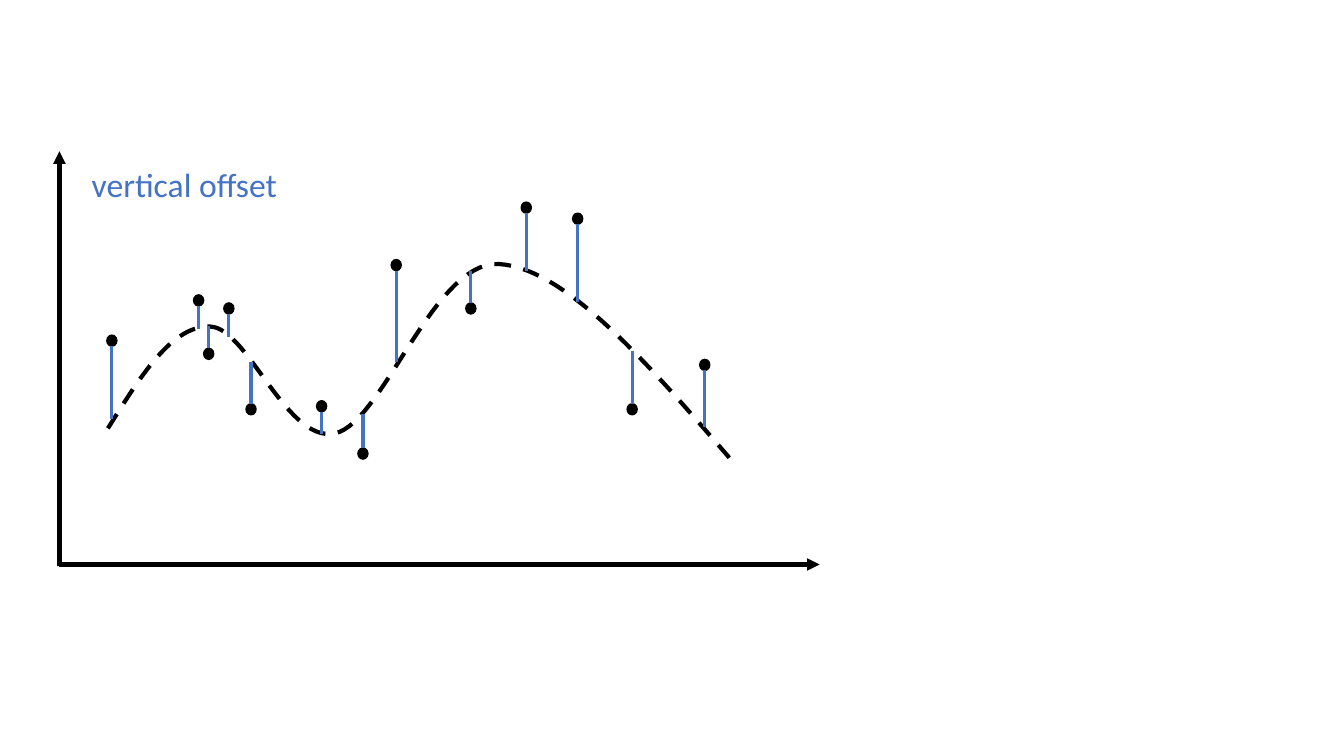
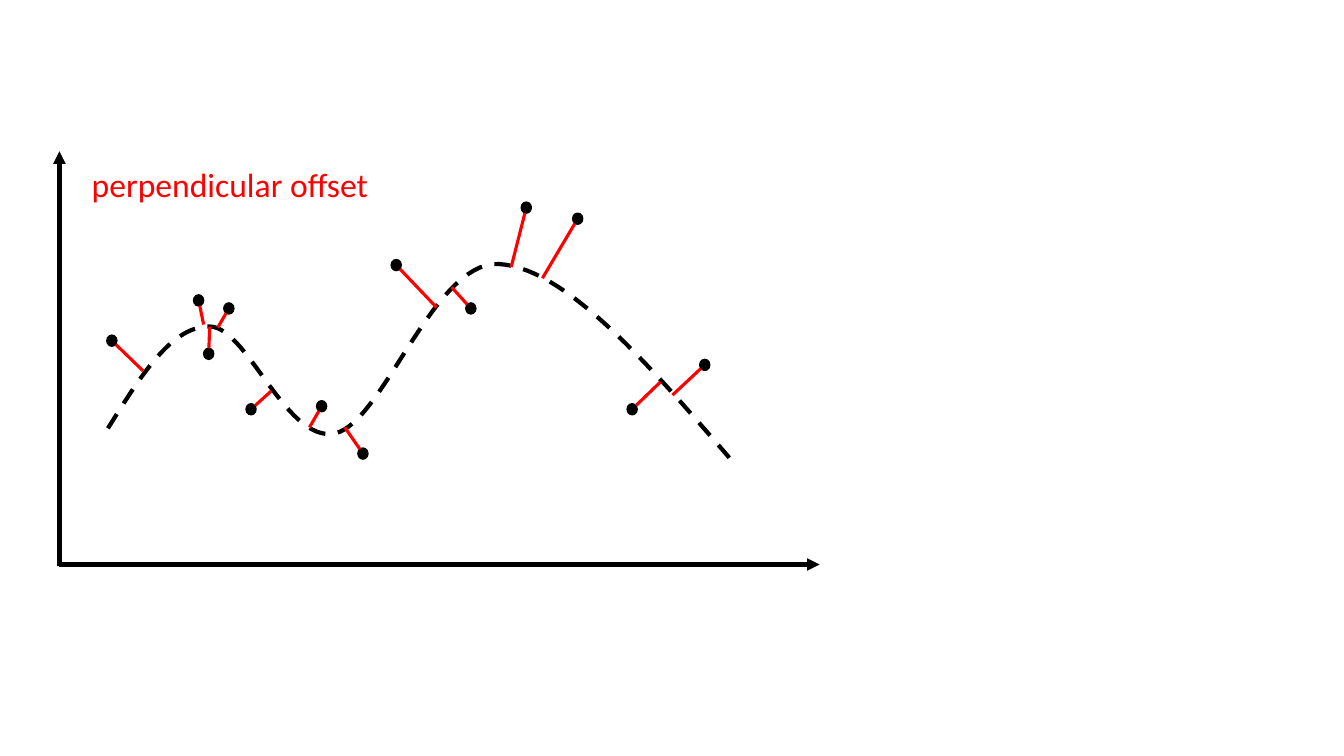
import dataclasses
import math
import typing

import lxml.etree
import pptx
import pptx.dml.color
import pptx.enum.dml
import pptx.enum.shapes
import pptx.enum.text
import pptx.oxml.ns
import pptx.slide
import pptx.util

Inches = pptx.util.Inches
Position = tuple[float, float]

BLACK = pptx.dml.color.RGBColor(0x00, 0x00, 0x00)
BLUE = pptx.dml.color.RGBColor(0x44, 0x72, 0xC4)
RED = pptx.dml.color.RGBColor(0xFF, 0x00, 0x00)

TITLE_LAYOUT = 5
FONT_FORMAT = {"name": "Calibri", "size": pptx.util.Pt(24), "bold": False}
TITLE_BOX = {
    "left": Inches(0.81),
    "top": Inches(1.58),
    "width": Inches(3.37),
    "height": Inches(0.5),
}
FRAME_FORMAT = {
    "word_wrap": True,
    "auto_size": pptx.enum.text.MSO_AUTO_SIZE.NONE,
    "vertical_anchor": pptx.enum.text.MSO_ANCHOR.TOP,
    "margin_left": Inches(0.1),
    "margin_right": Inches(0.1),
    "margin_top": Inches(0.05),
    "margin_bottom": Inches(0.05),
}

AXIS_WEIGHT = 3
OFFSET_WEIGHT = 2.25
DOT_WIDTH = 0.1
DOT_HEIGHT = 0.11
AXES = (((0.59, 5.62), (0.59, 1.5)), ((0.59, 5.6), (8.13, 5.6)))
CURVE_START = (1.07, 4.25)
CURVE_SEGMENTS = (
    ((1.39, 3.74), (1.7, 3.23), (2.08, 3.24)),
    ((2.45, 3.24), (2.84, 4.4), (3.32, 4.3)),
    ((3.8, 4.2), (4.3, 2.58), (4.95, 2.62)),
    ((5.61, 2.66), (6.43, 3.61), (7.25, 4.56)),
)
CURVE_STEPS = 30


@dataclasses.dataclass(frozen=True)
class Observation:
    """A data point with its vertical and perpendicular feet on the curve."""

    center: Position
    curve_y: float
    perpendicular_foot: Position

    @property
    def vertical_foot(self) -> Position:
        """Return the point of the curve straight above or below."""
        return self.center[0], self.curve_y


@dataclasses.dataclass(frozen=True)
class OffsetPlot:
    """The title, colour and foot attribute of one kind of offset."""

    title: str
    color: pptx.dml.color.RGBColor
    foot: str


OBSERVATIONS = (
    Observation((1.11, 3.38), 4.16, (1.42, 3.68)),
    Observation((1.97, 2.98), 3.26, (2.02, 3.22)),
    Observation((2.07, 3.51), 3.23, (2.08, 3.24)),
    Observation((2.27, 3.06), 3.34, (2.16, 3.25)),
    Observation((2.49, 4.06), 3.59, (2.69, 3.88)),
    Observation((3.19, 4.03), 4.31, (3.07, 4.24)),
    Observation((3.6, 4.5), 4.11, (3.42, 4.24)),
    Observation((3.93, 2.63), 3.59, (4.33, 3.05)),
    Observation((4.67, 3.06), 2.69, (4.48, 2.85)),
    Observation((5.22, 2.06), 2.69, (5.07, 2.65)),
    Observation((5.73, 2.17), 3.0, (5.38, 2.76)),
    Observation((6.27, 4.06), 3.48, (6.55, 3.79)),
    Observation((6.99, 3.62), 4.24, (6.67, 3.92)),
)
PLOTS = (
    OffsetPlot("vertical offset", BLUE, "vertical_foot"),
    OffsetPlot("perpendicular offset", RED, "perpendicular_foot"),
)


def apply_format(target: object, values: dict[str, typing.Any]) -> None:
    """Set every attribute named in the format values."""
    for name, value in values.items():
        setattr(target, name, value)


def add_line(
    slide: pptx.slide.Slide,
    start: Position,
    end: Position,
    color: pptx.dml.color.RGBColor,
    weight: float,
    arrow: bool = False,
) -> None:
    """Draw a straight line, with an arrowhead at its end if wanted."""
    connector = slide.shapes.add_connector(
        pptx.enum.shapes.MSO_CONNECTOR.STRAIGHT,
        *(Inches(value) for value in (*start, *end)),
    )
    connector.line.width = pptx.util.Pt(weight)
    connector.line.color.rgb = color
    qualified_name = pptx.oxml.ns.qn
    properties = connector.element.spPr
    if arrow:
        outline = properties.find(qualified_name("a:ln"))
        lxml.etree.SubElement(outline, qualified_name("a:tailEnd"), type="triangle")
    lxml.etree.SubElement(properties, qualified_name("a:effectLst"))


def sample_curve() -> list[Position]:
    """Return points along the cubic curve segments."""
    points = [CURVE_START]
    for segment in CURVE_SEGMENTS:
        controls = (points[-1], *segment)
        for step in range(1, CURVE_STEPS + 1):
            t = step / CURVE_STEPS
            weights = [math.comb(3, k) * t**k * (1 - t) ** (3 - k) for k in range(4)]
            x, y = (
                sum(weight * control[axis] for weight, control in zip(weights, controls))
                for axis in range(2)
            )
            points.append((x, y))
    return points


def add_curve(slide: pptx.slide.Slide) -> None:
    """Draw the dashed fitted curve."""
    points = [(Inches(x), Inches(y)) for x, y in sample_curve()]
    builder = slide.shapes.build_freeform(*points[0])
    builder.add_line_segments(points[1:], close=False)
    curve = builder.convert_to_shape()
    curve.shadow.inherit = False
    curve.fill.background()
    curve.line.color.rgb = BLACK
    line_format = {
        "width": pptx.util.Pt(AXIS_WEIGHT),
        "dash_style": pptx.enum.dml.MSO_LINE.DASH,
    }
    apply_format(curve.line, line_format)


def add_dot(slide: pptx.slide.Slide, center: Position) -> None:
    """Draw one data point."""
    dot = slide.shapes.add_shape(
        pptx.enum.shapes.MSO_SHAPE.OVAL,
        Inches(center[0] - DOT_WIDTH / 2),
        Inches(center[1] - DOT_HEIGHT / 2),
        Inches(DOT_WIDTH),
        Inches(DOT_HEIGHT),
    )
    dot.shadow.inherit = False
    dot.fill.solid()
    dot.fill.fore_color.rgb = BLACK
    dot.line.color.rgb = BLACK
    dot.line.width = pptx.util.Pt(1)


def add_offset(
    slide: pptx.slide.Slide,
    center: Position,
    foot: Position,
    color: pptx.dml.color.RGBColor,
) -> None:
    """Draw a line from the edge of a dot to its foot on the curve."""
    share = DOT_HEIGHT / 2 / math.dist(center, foot)
    x, y = (begin + share * (end - begin) for begin, end in zip(center, foot))
    add_line(slide, (x, y), foot, color, OFFSET_WEIGHT)


def set_title(slide: pptx.slide.Slide, plot: OffsetPlot) -> None:
    """Place and format the title inside the axes."""
    title = slide.shapes.title
    apply_format(title, TITLE_BOX)
    apply_format(title.text_frame, FRAME_FORMAT)
    title.text_frame.text = plot.title
    paragraph = title.text_frame.paragraphs[0]
    paragraph.alignment = pptx.enum.text.PP_ALIGN.LEFT
    font = paragraph.runs[0].font
    apply_format(font, FONT_FORMAT)
    font.color.rgb = plot.color


def add_plot(presentation: typing.Any, plot: OffsetPlot) -> None:
    """Add a slide that shows one kind of offset."""
    slide = presentation.slides.add_slide(presentation.slide_layouts[TITLE_LAYOUT])
    set_title(slide, plot)
    add_curve(slide)
    for observation in OBSERVATIONS:
        add_dot(slide, observation.center)
        foot = getattr(observation, plot.foot)
        add_offset(slide, observation.center, foot, plot.color)
    for start, end in AXES:
        add_line(slide, start, end, BLACK, AXIS_WEIGHT, arrow=True)


def main() -> None:
    """Build and save the presentation."""
    presentation = pptx.Presentation()
    size = {"slide_width": Inches(13.33), "slide_height": Inches(7.5)}
    apply_format(presentation, size)
    for plot in PLOTS:
        add_plot(presentation, plot)
    presentation.save("out.pptx")


if __name__ == "__main__":
    main()
